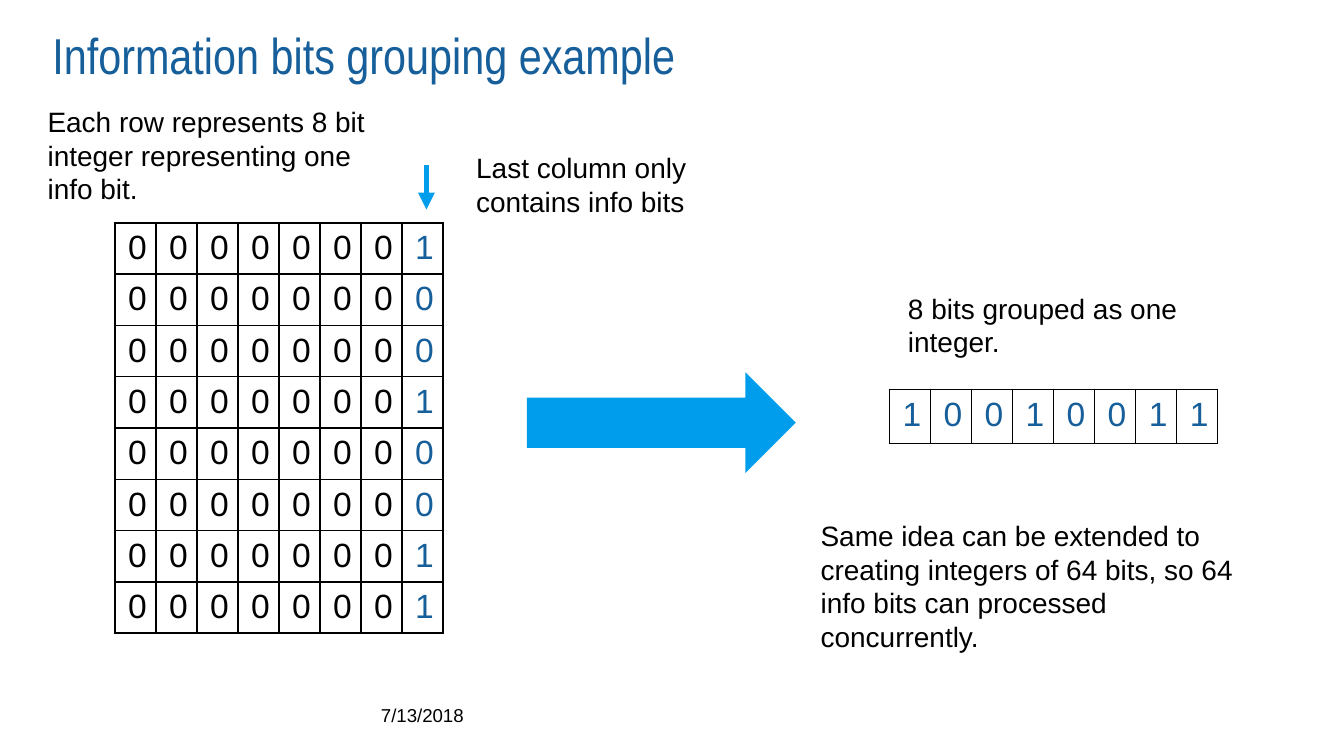
from lxml import etree
from pptx import Presentation
from pptx.dml.color import RGBColor
from pptx.enum.shapes import MSO_CONNECTOR as Conn, MSO_SHAPE as Shape
from pptx.enum.text import MSO_ANCHOR as Anchor, PP_ALIGN as Align
from pptx.oxml import parse_xml
from pptx.oxml.ns import nsdecls, qn
from pptx.util import Cm, Pt

BLACK = RGBColor(0x00, 0x00, 0x00)
NAVY = RGBColor(0x16, 0x5F, 0x9A)
BLUE = RGBColor(0x00, 0x9D, 0xEC)

HEAD = {"name": "Arial Narrow", "size": Pt(27), "bold": False}
NOTE = {"name": "Arial", "size": Pt(15)}
DATE = {"name": "Arial", "size": Pt(10)}
BIT = {"name": "Arial", "size": Pt(18), "bold": False}

FLUSH = {"margin_left": 0, "margin_right": 0, "margin_top": 0, "margin_bottom": 0}
PAD = {"margin_left": Cm(0.25), "margin_right": 0,
       "margin_top": Cm(0.12), "margin_bottom": Cm(0.12)}

BITS = "10010011"
STEP = 0.775  # width of one bit cell in cm


def style(item, form):
    """Set each attribute named in form on item."""
    for key, val in form.items():
        setattr(item, key, val)


def write(frame, text, form, color):
    """Put one styled, left-aligned paragraph into a text frame."""
    para = frame.paragraphs[0]
    para.alignment = Align.LEFT
    run = para.add_run()
    run.text = text
    style(run.font, form)
    run.font.color.rgb = color


def add_title(slide, box, text):
    """Move the title placeholder to box and fill it."""
    title = slide.shapes.title
    style(title, dict(zip(("left", "top", "width", "height"), map(Cm, box))))
    style(title.text_frame, {**FLUSH, "vertical_anchor": Anchor.TOP})
    write(title.text_frame, text, HEAD, NAVY)


def add_note(slide, box, text, form=NOTE, frame={"word_wrap": True}):
    """Add a text box with black text."""
    note = slide.shapes.add_textbox(*map(Cm, box)).text_frame
    style(note, frame)
    write(note, text, form, BLACK)


def rule(cell):
    """Draw thin black borders around a cell."""
    props = cell._tc.get_or_add_tcPr()
    for pos, side in enumerate(("lnL", "lnR", "lnT", "lnB")):
        props.insert(pos, parse_xml(
            f'<a:{side} {nsdecls("a")} w="12700"><a:solidFill>'
            f'<a:srgbClr val="{BLACK}"/></a:solidFill></a:{side}>'))


def add_grid(slide, left, top, high, rows, marked):
    """Add a bit table; marked tells which columns hold info bits."""
    cols = len(rows[0])
    grid = slide.shapes.add_table(len(rows), cols, Cm(left), Cm(top),
                                  Cm(STEP * cols), Cm(high * len(rows))).table
    style(grid, {"first_row": False, "horz_banding": False})
    for col in grid.columns:
        col.width = Cm(STEP)
    for y, row in enumerate(rows):
        grid.rows[y].height = Cm(high)
        for x, bit in enumerate(row):
            cell = grid.cell(y, x)
            style(cell, PAD)
            cell.fill.background()
            rule(cell)
            write(cell.text_frame, bit, BIT, NAVY if x in marked else BLACK)


def add_drop(slide, x, top, end):
    """Add a short arrow pointing down."""
    drop = slide.shapes.add_connector(Conn.STRAIGHT, Cm(x), Cm(top), Cm(x), Cm(end))
    drop.line.color.rgb = BLUE
    drop.line.width = Pt(3)
    etree.SubElement(drop.line._get_or_add_ln(), qn("a:tailEnd"), type="triangle")
    etree.SubElement(drop._element.spPr, qn("a:effectLst"))


def add_block(slide, box):
    """Add the large arrow between the tables."""
    block = slide.shapes.add_shape(Shape.RIGHT_ARROW, *map(Cm, box))
    block.shadow.inherit = False
    block.fill.solid()
    block.fill.fore_color.rgb = BLUE
    block.line.fill.background()


def source(slide, left, top):
    """Place the integers, one info bit per row, with their notes."""
    add_grid(slide, left, top + 2.36, 0.97, [bit.rjust(8, "0") for bit in BITS], {7})
    add_note(slide, (left - 1.52, top, 6.99, 2.18),
             "Each row represents 8 bit integer representing one info bit. ")
    add_drop(slide, left + 5.89, top + 1.27, top + 2.11)
    add_note(slide, (left + 6.58, top + 0.87, 6.35, 1.55),
             "Last column only contains info bits")


def result(slide, left, top):
    """Place the grouped integer with its notes."""
    add_note(slide, (left + 0.08, top, 5.84, 1.55), "8 bits grouped as one integer.")
    add_grid(slide, left - 0.02, top + 1.98, 1.02, [BITS], range(8))
    add_note(slide, (left - 1.57, top + 4.3, 8.89, 2.82),
             "Same idea can be extended to creating integers of 64 bits, "
             "so 64 info bits can processed concurrently.")


def build():
    """Build and save the slide."""
    deck = Presentation()
    style(deck, {"slide_width": Cm(25.4), "slide_height": Cm(14.29)})
    slide = deck.slides.add_slide(deck.slide_layouts[5])
    add_title(slide, (0.99, 0.46, 23.01, 2.26), "Information bits grouping example")
    source(slide, 2.17, 1.85)
    add_block(slide, (9.96, 7.04, 5.08, 1.9))
    result(slide, 16.83, 5.38)
    add_note(slide, (7.2, 13.31, 2.21, 0.38), "7/13/2018", DATE,
             {**FLUSH, "word_wrap": False})
    deck.save("out.pptx")


build()
